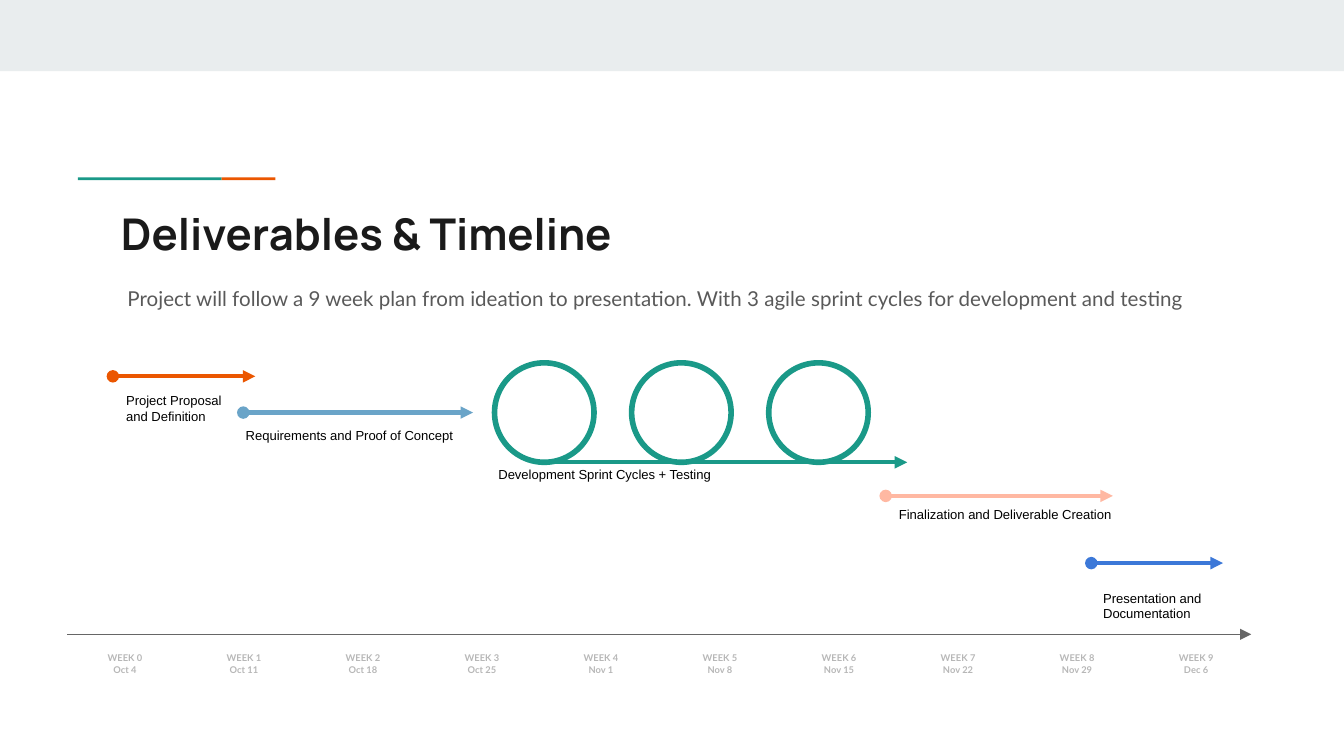
from lxml import etree
from pptx import Presentation
from pptx.dml.color import RGBColor
from pptx.enum.shapes import MSO_CONNECTOR, MSO_SHAPE
from pptx.enum.text import MSO_ANCHOR, PP_ALIGN
from pptx.oxml.ns import qn
from pptx.util import Inches, Pt

COLORS = {
    "band": "E9EDEE", "teal": "1A9988", "orange": "EB5600", "title": "1A1A1A",
    "body": "595959", "axis": "666666", "week": "B7B7B7", "label": "000000",
    "sky": "6AA4C8", "peach": "FFB8A2", "blue": "3C78D8",
}
DATES = ["Oct 4", "Oct 11", "Oct 18", "Oct 25", "Nov 1",
         "Nov 8", "Nov 15", "Nov 22", "Nov 29", "Dec 6"]
# Arrow left, top and length; label text; label box relative to the arrow start
PHASES = [
    (0.84, 2.8, 1.06, "orange", "Project Proposal and Definition", (0, 0.02, 0.91, 0.56)),
    (1.81, 3.07, 1.71, "sky", "Requirements and Proof of Concept", (-0.08, 0.05, 1.89, 0.32)),
    (6.59, 3.69, 1.69, "peach", "Finalization and Deliverable Creation", (0, 0.02, 1.89, 0.32)),
    (8.12, 4.19, 0.98, "blue", "Presentation and Documentation", (-0.01, 0.1, 1.24, 0.44)),
]


def color(name):
    return RGBColor.from_string(COLORS[name])


def write(shape, text, size, font, color_name, bold=False, align=PP_ALIGN.LEFT):
    """Fill a text shape with one formatted paragraph and return the paragraph."""
    frame = shape.text_frame
    frame.text = text
    frame.word_wrap = True
    frame.vertical_anchor = MSO_ANCHOR.TOP
    frame.margin_left = frame.margin_right = Inches(0.1)
    frame.margin_top = frame.margin_bottom = Inches(0.1)
    paragraph = frame.paragraphs[0]
    paragraph.alignment = align
    run_font = paragraph.runs[0].font
    run_font.size, run_font.name, run_font.bold = Pt(size), font, bold
    run_font.color.rgb = color(color_name)
    return paragraph


def add_text(slide, left, top, width, height, *style, **options):
    box = slide.shapes.add_textbox(Inches(left), Inches(top), Inches(width), Inches(height))
    return write(box, *style, **options)


def add_bar(slide, left, top, width, height, color_name):
    bar = slide.shapes.add_shape(MSO_SHAPE.RECTANGLE, Inches(left), Inches(top),
                                 Inches(width), Inches(height))
    bar.shadow.inherit = False
    bar.fill.solid()
    bar.fill.fore_color.rgb = color(color_name)
    bar.line.fill.background()


def add_arrow(slide, left, top, length, color_name, weight=2.25, dot=True):
    """Draw a horizontal arrow, with a dot at its start if wanted."""
    arrow = slide.shapes.add_connector(MSO_CONNECTOR.STRAIGHT, Inches(left), Inches(top),
                                       Inches(left + length), Inches(top))
    arrow.line.color.rgb = color(color_name)
    arrow.line.width = Pt(weight)
    line = arrow.line._get_or_add_ln()
    if dot:
        etree.SubElement(line, qn("a:headEnd"), type="oval")
    etree.SubElement(line, qn("a:tailEnd"), type="triangle")
    etree.SubElement(arrow._element.spPr, qn("a:effectLst"))


def add_header(slide, left, top, width):
    add_bar(slide, 0, 0, 10, 0.53, "band")
    add_bar(slide, left - 0.22, top - 0.12, 1.07, 0.02, "teal")
    add_bar(slide, left + 0.85, top - 0.12, 0.4, 0.02, "orange")
    title = slide.shapes.title
    title.left, title.top = Inches(left), Inches(top)
    title.width, title.height = Inches(width), Inches(0.59)
    write(title, "Deliverables & Timeline", 23.4, "Manrope", "title", bold=True)
    paragraph = add_text(
        slide, left + 0.05, top + 0.56, 8.5, 0.45,
        "Project will follow a 9 week plan from ideation to presentation. "
        "With 3 agile sprint cycles for development and testing", 11, "Lato", "body")
    paragraph.line_spacing = 1.15


def add_week_axis(slide, left, top, length):
    add_arrow(slide, left, top, length, "axis", weight=0.75, dot=False)
    pitch = 7.97 / (len(DATES) - 1)
    for week, date in enumerate(DATES):
        for row, text in enumerate((f"WEEK {week}", date)):
            add_text(slide, left + 0.12 + week * pitch, top + 0.09 + row * 0.09, 0.62, 0.29,
                     text, 5, "Lato", "week", bold=True, align=PP_ALIGN.CENTER)


def add_phase(slide, left, top, length, color_name, text, label_box):
    add_arrow(slide, left, top, length, color_name)
    dx, dy, width, height = label_box
    add_text(slide, left + dx, top + dy, width, height, text, 7, "Arial", "label")


def add_sprints(slide, left, top, diameter, pitch, count=3):
    """Draw the sprint loops standing on their arrow, with the label below."""
    for index in range(count):
        loop = slide.shapes.add_shape(MSO_SHAPE.OVAL, Inches(left + index * pitch), Inches(top),
                                      Inches(diameter), Inches(diameter))
        loop.shadow.inherit = False
        loop.fill.background()
        loop.line.color.rgb = color("teal")
        loop.line.width = Pt(3)
    base = top + diameter
    add_arrow(slide, left + diameter / 2, base, 2.7, "teal", dot=False)
    add_text(slide, left - 0.07, base - 0.03, 1.89, 0.32,
             "Development Sprint Cycles + Testing", 7, "Arial", "label")


def main():
    presentation = Presentation()
    presentation.slide_width = Inches(10)
    presentation.slide_height = Inches(10 * 9 / 16)
    slide = presentation.slides.add_slide(presentation.slide_layouts[5])
    add_header(slide, 0.8, 1.44, 8.41)
    add_week_axis(slide, 0.5, 4.72, 8.81)
    for phase in PHASES:
        add_phase(slide, *phase)
    add_sprints(slide, 3.68, 2.7, 0.74, 1.02)
    presentation.save("out.pptx")


if __name__ == "__main__":
    main()
